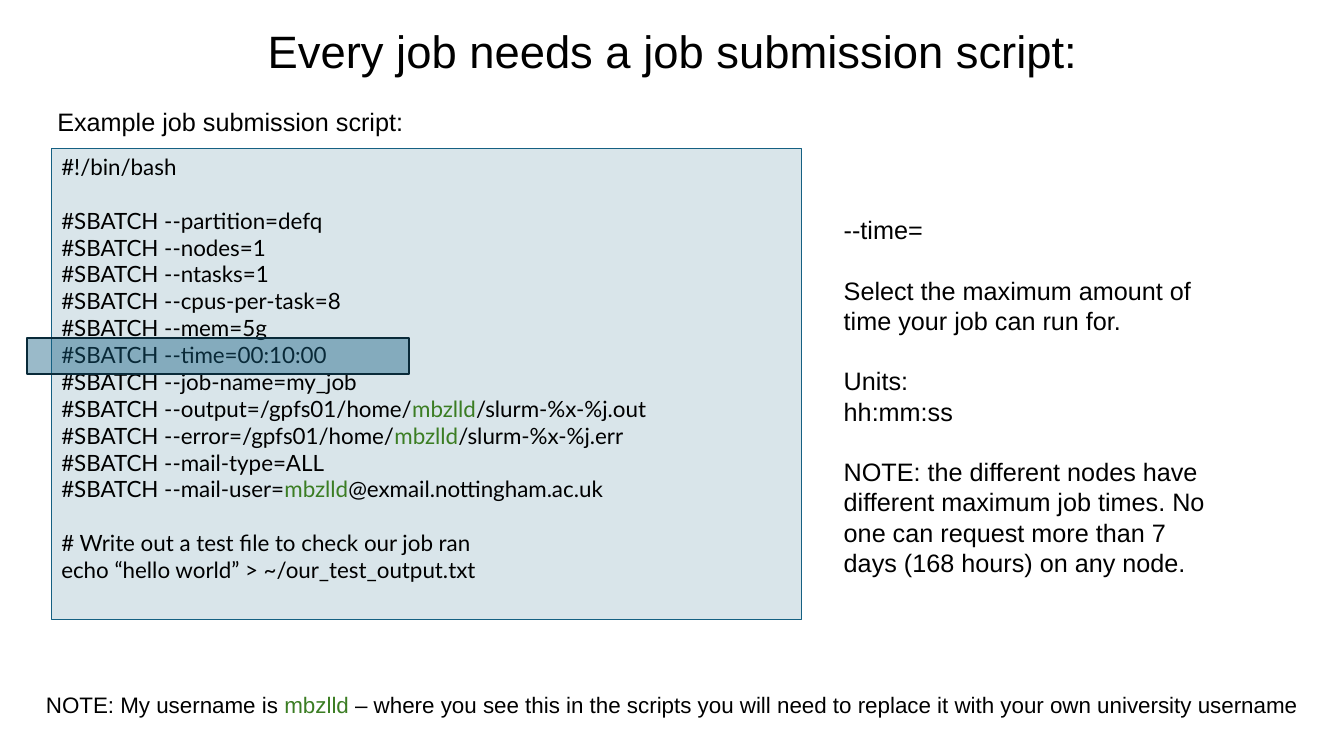
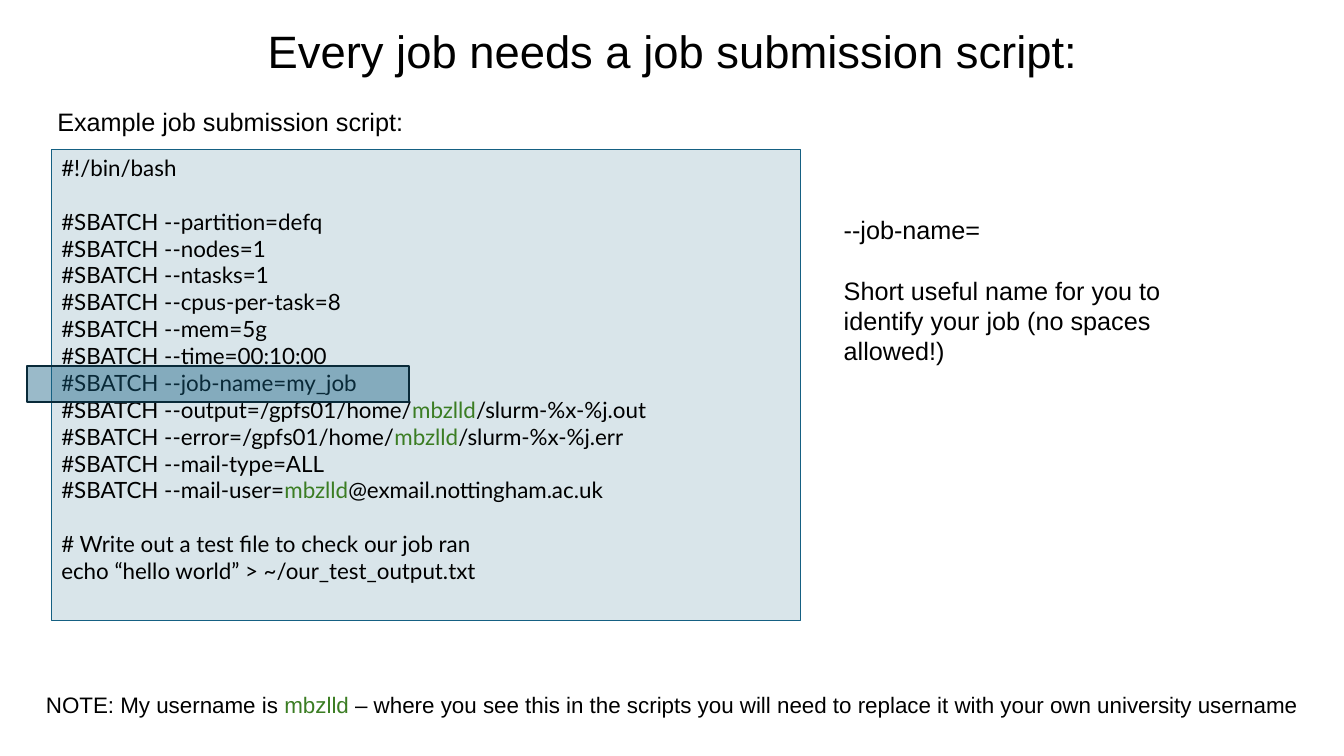
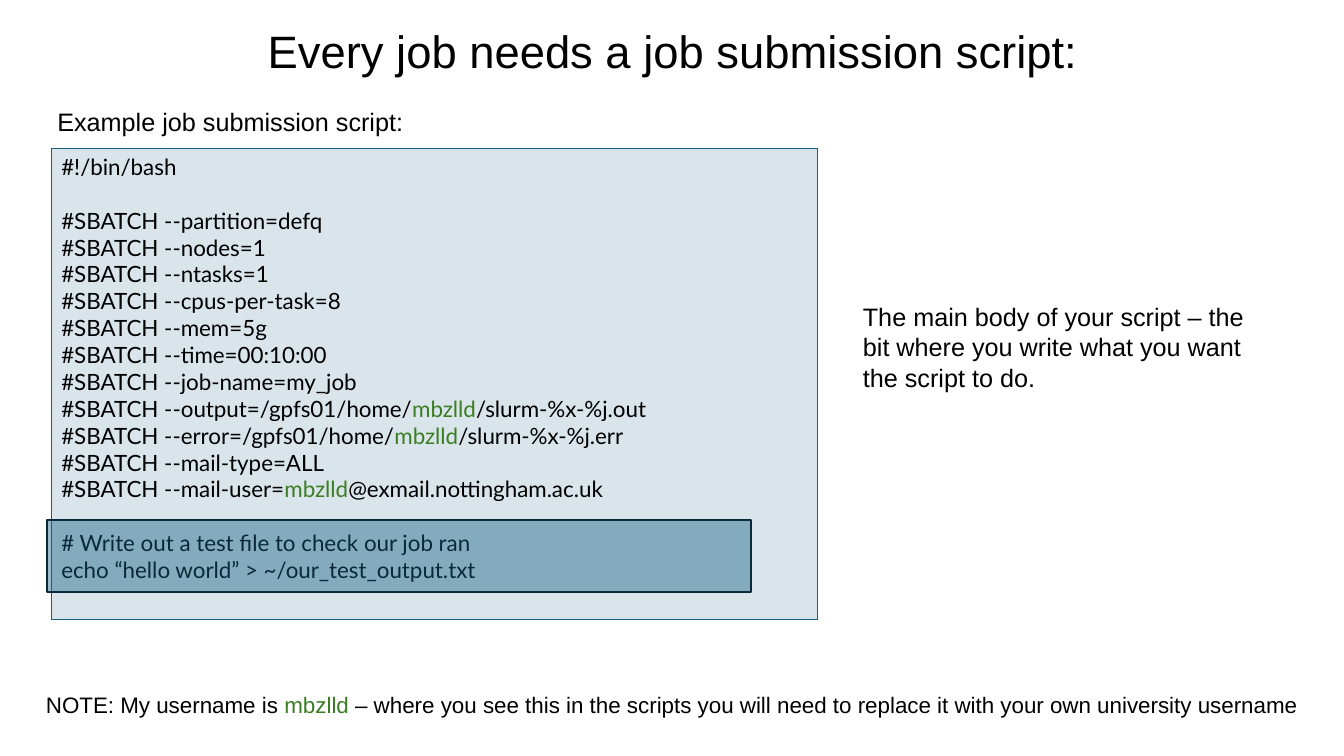
from dataclasses import dataclass

from lxml.etree import SubElement
from pptx import Presentation
from pptx.dml.color import RGBColor
from pptx.enum.shapes import MSO_SHAPE
from pptx.enum.text import MSO_ANCHOR, PP_ALIGN
from pptx.oxml.ns import qn
from pptx.shapes.autoshape import Shape
from pptx.slide import Slide
from pptx.text.text import TextFrame
from pptx.util import Inches, Pt

# Shared look
BLACK = RGBColor(0x00, 0x00, 0x00)
TEAL = RGBColor(0x15, 0x60, 0x82)
DARK_TEAL = RGBColor(0x09, 0x2A, 0x39)
GREEN = RGBColor(0x3B, 0x7D, 0x23)
PROSE_FONT = "Arial"
CODE_FONT = "Lato"
LINE_HEIGHT = 1.2  # line pitch as a multiple of the font size

# Shared wording: blocks of lines, with one empty line's height between blocks
Blocks = tuple[tuple[str, ...], ...]
USERNAME = "mbzlld"
TITLE = "Every job needs a job submission script:"
CAPTION = "Example job submission script:"
USERNAME_NOTE = (
    f"NOTE: My username is {USERNAME} – where you see this in the scripts "
    "you will need to replace it with your own university username"
)
JOB_SCRIPT: Blocks = (
    ("#!/bin/bash",),
    (
        "#SBATCH --partition=defq",
        "#SBATCH --nodes=1",
        "#SBATCH --ntasks=1",
        "#SBATCH --cpus-per-task=8",
        "#SBATCH --mem=5g",
        "#SBATCH --time=00:10:00",
        "#SBATCH --job-name=my_job",
        f"#SBATCH --output=/gpfs01/home/{USERNAME}/slurm-%x-%j.out",
        f"#SBATCH --error=/gpfs01/home/{USERNAME}/slurm-%x-%j.err",
        "#SBATCH --mail-type=ALL",
        f"#SBATCH --mail-user={USERNAME}@exmail.nottingham.ac.uk",
    ),
    (
        "# Write out a test file to check our job ran",
        "echo “hello world” > ~/our_test_output.txt",
    ),
)


@dataclass(frozen=True)
class Area:
    """Left, top, width and height in inches."""

    left: float
    top: float
    width: float
    height: float

    def lengths(self) -> tuple[Inches, Inches, Inches, Inches]:
        return (Inches(self.left), Inches(self.top),
                Inches(self.width), Inches(self.height))


@dataclass(frozen=True)
class TextStyle:
    font: str
    size: float
    align: PP_ALIGN = PP_ALIGN.LEFT
    spacing: float | Pt = 1.0


@dataclass(frozen=True)
class ScriptStep:
    """One slide: the script, the highlighted part and its explanation."""

    script: Area
    highlight: Area
    explanation: Area
    blocks: Blocks


TITLE_STYLE = TextStyle(PROSE_FONT, 32.4, PP_ALIGN.CENTER, 0.9)
CODE_STYLE = TextStyle(CODE_FONT, 16)
PROSE_STYLE = TextStyle(PROSE_FONT, 18, spacing=Pt(18 * LINE_HEIGHT))
NOTE_STYLE = TextStyle(PROSE_FONT, 16, PP_ALIGN.CENTER, Pt(16 * LINE_HEIGHT))

STEPS = (
    ScriptStep(
        Area(0.51, 1.47, 7.44, 4.68),
        Area(0.27, 3.35, 3.79, 0.36),
        Area(8.27, 2.08, 3.94, 4.04),
        (
            ("--time=",),
            ("Select the maximum amount of time your job can run for.",),
            ("Units:", "hh:mm:ss"),
            ("NOTE: the different nodes have different maximum job times. "
             "No one can request more than 7 days (168 hours) on any node.",),
        ),
    ),
    ScriptStep(
        Area(0.51, 1.48, 7.43, 4.68),
        Area(0.27, 3.63, 3.79, 0.36),
        Area(8.27, 2.08, 3.94, 1.92),
        (
            ("--job-name=",),
            ("Short useful name for you to identify your job "
             "(no spaces allowed!)",),
        ),
    ),
    ScriptStep(
        Area(0.51, 1.47, 7.6, 4.68),
        Area(0.47, 5.16, 6.98, 0.71),
        Area(8.46, 2.94, 3.98, 1.62),
        (("The main body of your script – the bit where you write what you "
          "want the script to do.",),),
    ),
)


def write_blocks(frame: TextFrame, blocks: Blocks, style: TextStyle) -> None:
    """Write the lines, colouring the username wherever it occurs."""
    first = True
    for block in blocks:
        for index, line in enumerate(block):
            paragraph = frame.paragraphs[0] if first else frame.add_paragraph()
            paragraph.alignment = style.align
            paragraph.line_spacing = style.spacing
            if index == 0 and not first:
                paragraph.space_before = Pt(style.size * LINE_HEIGHT)
            first = False
            for part in filter(None, line.partition(USERNAME)):
                run = paragraph.add_run()
                run.text = part
                run.font.name = style.font
                run.font.size = Pt(style.size)
                run.font.color.rgb = GREEN if part == USERNAME else BLACK


def add_text(slide: Slide, area: Area, blocks: Blocks, style: TextStyle,
             anchor: MSO_ANCHOR = MSO_ANCHOR.TOP, wrap: bool = True) -> None:
    frame = slide.shapes.add_textbox(*area.lengths()).text_frame
    frame.word_wrap = wrap
    frame.vertical_anchor = anchor
    write_blocks(frame, blocks, style)


def add_tinted_box(slide: Slide, area: Area, opacity: int,
                   line_color: RGBColor, line_width: float) -> Shape:
    """Add a see-through teal rectangle; opacity is in percent."""
    box = slide.shapes.add_shape(MSO_SHAPE.RECTANGLE, *area.lengths())
    box.shadow.inherit = False
    box.fill.solid()
    box.fill.fore_color.rgb = TEAL
    color = box.fill._xPr.find(qn("a:solidFill"))[0]
    SubElement(color, qn("a:alpha")).set("val", str(opacity * 1000))
    box.line.color.rgb = line_color
    box.line.width = Pt(line_width)
    return box


def add_step(slide: Slide, step: ScriptStep) -> None:
    # Title
    add_text(slide, Area(1.67, 0.22, 10, 0.61), ((TITLE,),), TITLE_STYLE,
             MSO_ANCHOR.BOTTOM)

    # Job script with its caption
    script = add_tinted_box(slide, step.script, 16, TEAL, 0.75)
    script.text_frame.word_wrap = True
    script.text_frame.vertical_anchor = MSO_ANCHOR.TOP
    write_blocks(script.text_frame, JOB_SCRIPT, CODE_STYLE)
    add_text(slide, Area(0.47, 1.01, 3.67, 0.4), ((CAPTION,),), PROSE_STYLE,
             wrap=False)

    # Highlighted part and its explanation
    add_tinted_box(slide, step.highlight, 43, DARK_TEAL, 1.5)
    add_text(slide, step.explanation, step.blocks, PROSE_STYLE)

    # Footer note
    add_text(slide, Area(0, 6.81, 13.33, 0.37), ((USERNAME_NOTE,),), NOTE_STYLE)


def main() -> None:
    deck = Presentation()
    deck.slide_width = Inches(13.33)
    deck.slide_height = Inches(7.5)
    blank = deck.slide_layouts[6]
    for step in STEPS:
        add_step(deck.slides.add_slide(blank), step)
    deck.save("out.pptx")


if __name__ == "__main__":
    main()
